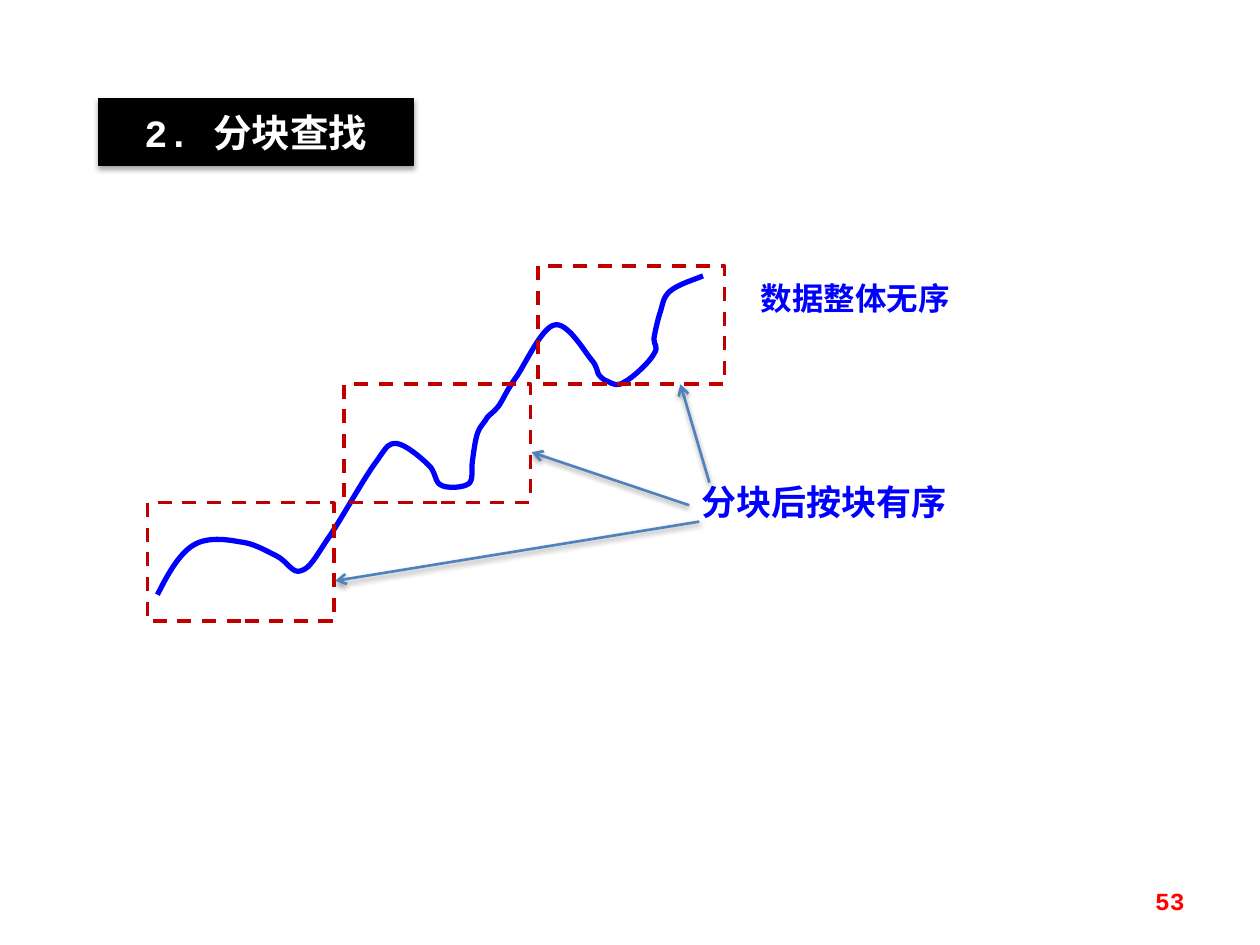
"""Build the block search slide: a curve cut into ordered blocks."""
from lxml import etree
from pptx import Presentation
from pptx import util as u
from pptx.dml.color import RGBColor
from pptx.enum import dml, shapes, text
from pptx.oxml import ns

THEME = {
    "black": "000000", "white": "FFFFFF", "blue": "0000FF",
    "block": "C00000", "arrow": "4F81BD", "page": "FF0000",
    "mono": "Courier New", "sans": "Noto Sans CJK SC",
    "title": 22, "label": 20, "note": 18, "number": 14,
}
TITLE = ("2. 分块查找", (0.78, 0.78, 2.5, 0.53))
LABELS = [
    ("数据整体无序", (5.94, 2.22, 2.11, 0.34), "sans", "note"),
    ("分块后按块有序", (5.47, 3.83, 2.42, 0.37), "mono", "label"),
]
PAGE = ("53", (7.17, 6.95, 2.33, 0.4))
BLOCKS = [1.17, 2.73, 4.27]
TOP, WIDE, HIGH = 2.11, 1.48, 0.94
ARROWS = [
    (5.55, 4.14, 2.66, 4.61),
    (5.47, 4.01, 4.22, 3.59),
    (5.63, 3.83, 5.4, 3.05),
]
START = (125, 472)
CURVE = [
    (133, 456, 142, 440, 153, 433), (164, 426, 179, 428, 190, 430),
    (201, 431, 211, 437, 219, 441), (228, 445, 232, 456, 239, 453),
    (246, 451, 250, 443, 260, 428), (270, 414, 289, 379, 299, 366),
    (308, 353, 308, 352, 315, 352), (322, 353, 334, 363, 340, 369),
    (346, 374, 345, 383, 350, 385), (355, 388, 368, 387, 372, 384),
    (376, 381, 374, 373, 375, 366), (376, 359, 377, 350, 379, 344),
    (381, 338, 385, 335, 387, 331), (390, 328, 392, 327, 396, 322),
    (400, 316, 402, 310, 410, 299), (417, 289, 430, 260, 440, 258),
    (450, 255, 464, 279, 469, 285), (475, 292, 473, 294, 475, 297),
    (477, 300, 480, 302, 483, 303), (487, 305, 490, 307, 496, 303),
    (502, 300, 516, 287, 519, 281), (523, 275, 519, 274, 519, 269),
    (520, 263, 522, 254, 524, 248), (526, 242, 526, 236, 532, 231),
    (538, 226, 548, 223, 558, 219),
]


def color(name):
    return RGBColor.from_string(THEME[name])


def place(box):
    return [u.Inches(v) for v in box]


def add(parent, tag, **attrs):
    node = etree.SubElement(parent, ns.qn(tag))
    for key, val in attrs.items():
        node.set(key, str(val))
    return node


def stroke(shape, name, width):
    shape.line.color.rgb = color(name)
    shape.line.width = u.Pt(width)


def shade(shape, alpha, dist):
    props = shape._element.spPr
    for old in props.findall(ns.qn("a:effectLst")):
        props.remove(old)
    glow = add(add(props, "a:effectLst"), "a:outerShdw", blurRad=u.Pt(3.1),
               dist=u.Pt(dist), dir=90 * 60000, rotWithShape=0)
    add(add(glow, "a:srgbClr", val=THEME["black"]), "a:alpha", val=alpha * 1000)


def write(shape, words, face, size, tint, align):
    frame = shape.text_frame
    frame.word_wrap = True
    frame.text = words
    para = frame.paragraphs[0]
    para.alignment = align
    font = para.runs[0].font
    font.name, font.size, font.bold = THEME[face], u.Pt(THEME[size]), True
    font.color.rgb = color(tint)
    add(para.runs[0]._r.get_or_add_rPr(), "a:ea", typeface=THEME["sans"])
    return para


def draw_curve(slide):
    ends = [part[-2:] for part in CURVE]
    build = slide.shapes.build_freeform(*START, scale=u.Inches(0.01))
    build.add_line_segments(ends, close=False)
    curve = build.convert_to_shape()
    curve.shadow.inherit = False
    curve.fill.background()
    stroke(curve, "blue", 3)
    left, top = (min(axis) for axis in zip(START, *ends))
    for node, part in zip(curve._element.xpath(".//a:lnTo"), CURVE):
        node.tag = ns.qn("a:cubicBezTo")
        node.remove(node[0])
        for x, y in zip(part[::2], part[1::2]):
            add(node, "a:pt", x=x - left, y=y - top)


def main():
    deck = Presentation()
    deck.slide_width, deck.slide_height = u.Inches(10), u.Inches(7.5)
    slide = deck.slides.add_slide(deck.slide_layouts[6])
    pool, rect = slide.shapes, shapes.MSO_SHAPE.RECTANGLE
    align = text.PP_ALIGN

    words, box = TITLE
    title = pool.add_shape(rect, *place(box))
    title.fill.solid()
    title.fill.fore_color.rgb = color("black")
    stroke(title, "black", 0.75)
    shade(title, 35, 1.8)
    write(title, words, "mono", "title", "white", align.CENTER)

    draw_curve(slide)
    for step, left in enumerate(reversed(BLOCKS)):
        block = pool.add_shape(rect, *place((left, TOP + step * HIGH, WIDE, HIGH)))
        block.shadow.inherit = False
        block.fill.background()
        stroke(block, "block", 2)
        block.line.dash_style = dml.MSO_LINE.DASH

    for words, box, face, size in LABELS:
        label = pool.add_textbox(*place(box))
        write(label, words, face, size, "blue", align.LEFT).line_spacing = 0.8

    for ends in ARROWS:
        arrow = pool.add_connector(shapes.MSO_CONNECTOR.STRAIGHT, *place(ends))
        stroke(arrow, "arrow", 1.5)
        add(arrow.line._get_or_add_ln(), "a:tailEnd", type="arrow")
        shade(arrow, 38, 1.6)

    words, box = PAGE
    page = pool.add_textbox(*place(box))
    page.text_frame.vertical_anchor = text.MSO_ANCHOR.MIDDLE
    write(page, words, "mono", "number", "page", align.RIGHT)
    deck.save("out.pptx")


if __name__ == "__main__":
    main()
